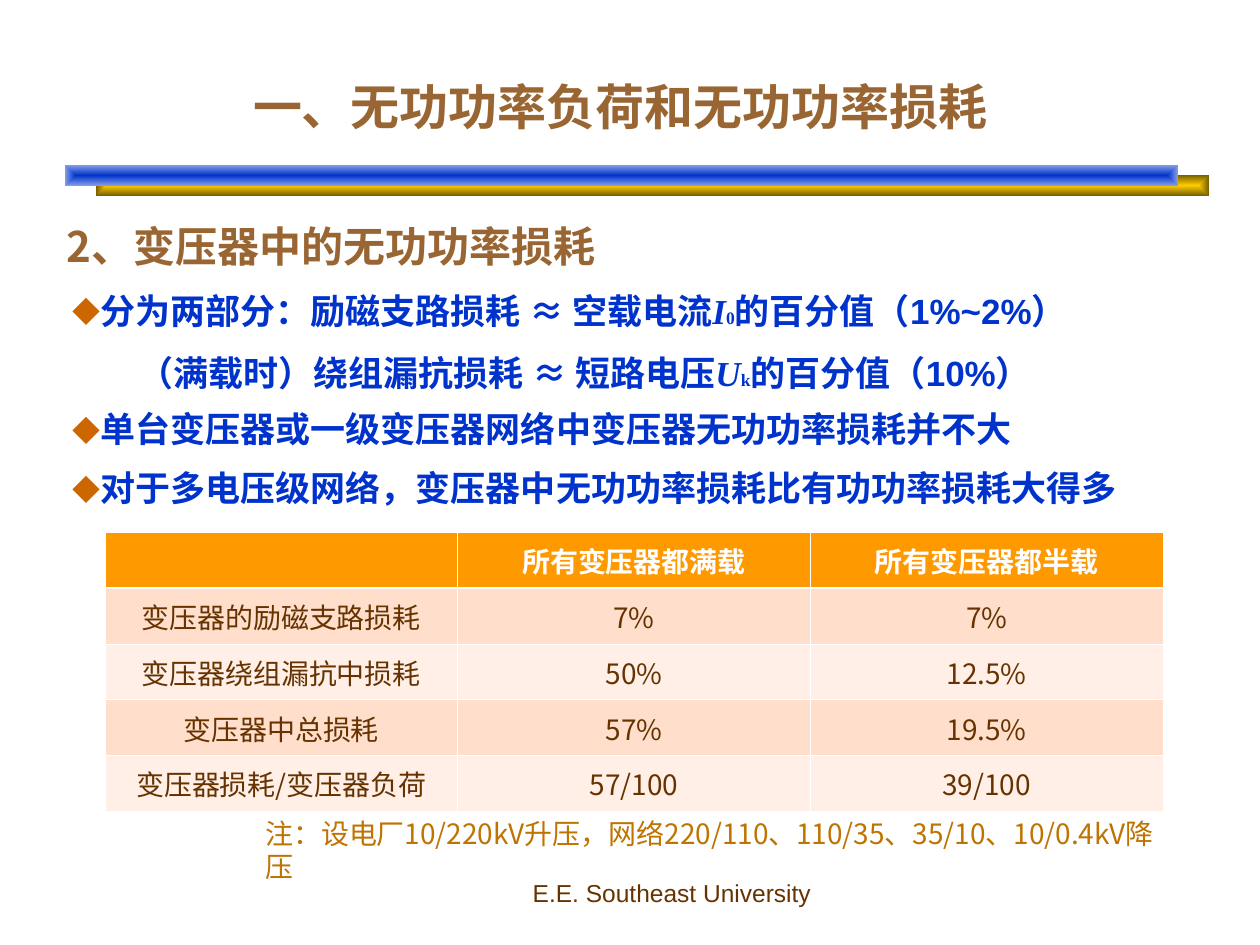
from lxml import etree
from pptx import Presentation
from pptx import util as u
from pptx.dml import color
from pptx.enum import shapes, text
from pptx.oxml import ns

PX = 914400 / 126
CJK, SANS, SERIF = "Noto Sans CJK SC", "Arial", "Times New Roman"
BLUE, BROWN, DARK = "0033CC", "996633", "663300"
CENTER, MIDDLE = text.PP_ALIGN.CENTER, text.MSO_ANCHOR.MIDDLE


def px(n):
    """Turn px into EMU."""
    return u.Emu(round(n * PX))


def rgb(value):
    """Turn a hex string into a colour."""
    return color.RGBColor.from_string(value)


def sub(parent, tag, **attrs):
    """Append a drawing element to its parent."""
    return etree.SubElement(parent, ns.qn("a:" + tag), attrs)


def style(p, size, col, name=CJK, bold=False, align=None):
    """Set the common font and alignment of a paragraph."""
    if align is not None:
        p.alignment = align
    f = p.font
    f.size, f.bold, f.name = u.Pt(size), bold, name
    f.color.rgb = rgb(col)
    sub(p._p.pPr.find(ns.qn("a:defRPr")), "ea", typeface=CJK)


def add_text(s, box, anchor=text.MSO_ANCHOR.TOP):
    """Add a wrapping text box and return its frame."""
    tf = s.shapes.add_textbox(*map(px, box)).text_frame
    tf.word_wrap, tf.vertical_anchor = True, anchor
    return tf


def add_line(s, box, words, size, col, anchor=text.MSO_ANCHOR.TOP, **kw):
    """Add a text box holding one paragraph."""
    p = add_text(s, box, anchor).paragraphs[0]
    p.text = words
    style(p, size, col, **kw)


def add_rule(s, box):
    """Add the two overlapping gradient bars under the title."""
    x, y, w, h = box
    bar_w, bar_h = w - 31, h - 10
    bars = [(31, 10, "FFCC00", "765E00"), (0, 0, BLUE, "879FE7")]
    for dx, dy, inner, outer in bars:
        sp = s.shapes.add_shape(shapes.MSO_SHAPE.RECTANGLE,
                                *map(px, (x + dx, y + dy, bar_w, bar_h)))
        sp.shadow.inherit = False
        sp.line.fill.background()
        sp.fill.gradient()
        for stop, pos, col in zip(sp.fill.gradient_stops, (0, 1), (inner, outer)):
            stop.position, stop.color.rgb = pos, rgb(col)
        grad = sp._element.spPr.find(ns.qn("a:gradFill"))
        grad.remove(grad.find(ns.qn("a:lin")))
        path = sub(grad, "path", path="rect")
        sub(path, "fillToRect", **dict.fromkeys("ltrb", "50000"))


def add_bullet(p):
    """Give a paragraph a hanging diamond bullet."""
    pPr = p._p.get_or_add_pPr()
    pPr.set("marL", str(px(30)))
    pPr.set("indent", str(-px(24)))
    sub(sub(pPr, "buClr"), "srgbClr", val="CC6600")
    sub(pPr, "buSzPct", val="80000")
    sub(pPr, "buFont", typeface=CJK)
    sub(pPr, "buChar", char="◆")


def add_body(s, box):
    """Add the section heading and its points."""
    tf = add_text(s, box)
    head = tf.paragraphs[0]
    head.text, head.space_after = "2、变压器中的无功功率损耗", u.Pt(6)
    style(head, 24, BROWN, bold=True)
    points = [
        (True, None, 5, 6, [
            ("分为两部分：励磁支路损耗 ", CJK), ("≈ ", SERIF), ("空载", CJK),
            ("电流", SANS), ("I", SERIF, True), ("0", SERIF, False, 10),
            ("的百分值（1%~2%）", SANS)]),
        (False, None, 5, 6, [
            ("（满载时）绕组漏抗损耗 ", SANS), ("≈ 短路电压", SERIF),
            ("U", SERIF, True), ("k", SERIF, False, 10),
            ("的百分值（", SERIF), ("10%", SANS), ("）", SERIF)]),
        (True, 0.9, 5, 6, [("单台变压器或一级变压器网络中变压器无功功率损耗并不大", SANS)]),
        (True, 0.9, 6, 0, [("对于多电压级网络，变压器中无功功率损耗比有功功率损耗大得多", SANS)]),
    ]
    for bullet, spacing, before, after, runs in points:
        p = tf.add_paragraph()
        p.space_before, p.space_after = u.Pt(before), u.Pt(after)
        if spacing:
            p.line_spacing = spacing
        if bullet:
            add_bullet(p)
        else:
            p._p.get_or_add_pPr().set("indent", str(px(72)))
        style(p, 20, BLUE, name=SANS, bold=True)
        for words, name, *rest in runs:
            r = p.add_run()
            r.text, r.font.name = words, name
            if rest:
                r.font.italic = rest[0]
            if len(rest) > 1:
                r.font.size = u.Pt(rest[1])


def set_borders(cell, top, bottom):
    """Draw white borders of the given widths around a cell."""
    tcPr = cell._tc.get_or_add_tcPr()
    widths = {"lnL": 0.45, "lnR": 0.45, "lnT": top, "lnB": bottom}
    for i, (tag, width) in enumerate(widths.items()):
        ln = etree.Element(ns.qn("a:" + tag), w=str(u.Pt(width)))
        sub(sub(ln, "solidFill"), "srgbClr", val="FFFFFF")
        tcPr.insert(i, ln)


def add_loss_table(s, box):
    """Add the table of transformer losses at full and half load."""
    rows = [
        ("", "所有变压器都满载", "所有变压器都半载"),
        ("变压器的励磁支路损耗", "7%", "7%"),
        ("变压器绕组漏抗中损耗", "50%", "12.5%"),
        ("变压器中总损耗", "57%", "19.5%"),
        ("变压器损耗/变压器负荷", "57/100", "39/100"),
    ]
    table = s.shapes.add_table(len(rows), len(rows[0]), *map(px, box)).table
    for i, row in enumerate(rows):
        fill = "FF9900" if i == 0 else ("FFEFE7", "FFDECB")[i % 2]
        for j, words in enumerate(row):
            cell = table.cell(i, j)
            cell.text, cell.vertical_anchor = words, MIDDLE
            style(cell.text_frame.paragraphs[0], 16, DARK if i else "FFFFFF",
                  bold=i == 0, align=CENTER)
            cell.fill.solid()
            cell.fill.fore_color.rgb = rgb(fill)
            set_borders(cell, 1.47 if i == 1 else 0.45, 1.47 if i == 0 else 0.45)


def main():
    """Build the slide and save it."""
    prs = Presentation()
    prs.slide_width, prs.slide_height = px(1260), px(945)
    s = prs.slides.add_slide(prs.slide_layouts[6])
    add_rule(s, (65, 165, 1144, 31))
    add_line(s, (420, 872, 504, 53), "E.E. Southeast University", 14, DARK,
             name=SANS, align=CENTER)
    add_line(s, (74, 76, 1092, 59), "一、无功功率负荷和无功功率损耗", 28, BROWN,
             anchor=MIDDLE, bold=True, align=CENTER)
    add_body(s, (54, 214, 1177, 625))
    add_loss_table(s, (105, 532, 1058, 280))
    add_line(s, (253, 810, 922, 81),
             "注：设电厂10/220kV升压，网络220/110、110/35、35/10、10/0.4kV降压",
             16, "BF7300")
    prs.save("out.pptx")


if __name__ == "__main__":
    main()
